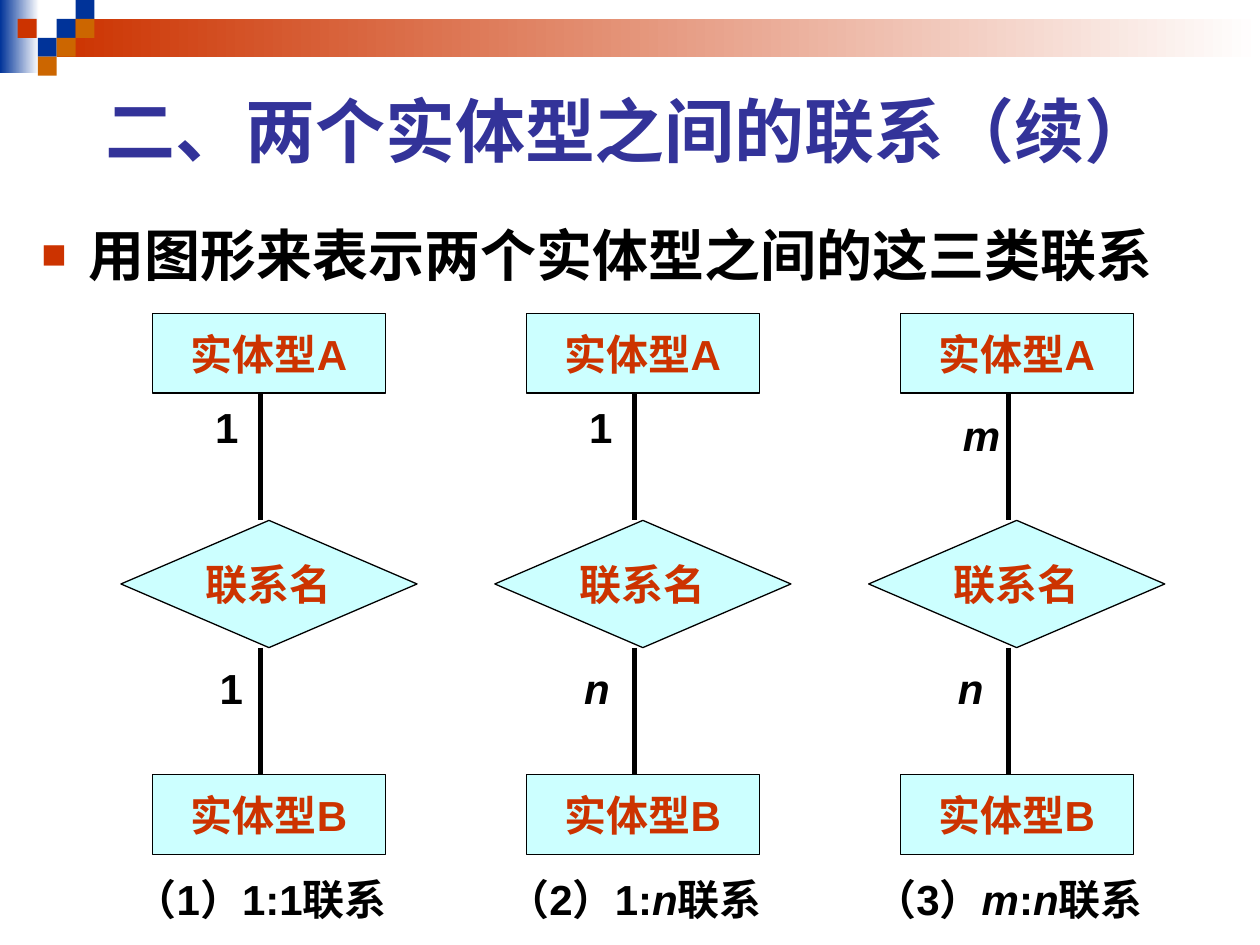
from lxml import etree
from pptx import Presentation
from pptx import util as u
from pptx.dml.color import RGBColor
from pptx.enum import shapes, text
from pptx.oxml.ns import qn

COLORS = {
    "navy": "003399", "red": "CC3300", "orange": "CC6600", "white": "FFFFFF",
    "title": "333399", "ink": "000000", "cyan": "CCFFFF",
}
COLUMNS, ROWS = 100, 75
PITCH = 29.67


def rgb(name):
    return RGBColor.from_string(COLORS[name])


class SlideBuilder:
    font = "Arial"

    def __init__(self, deck):
        self.deck = deck
        self.page = deck.slides.add_slide(deck.slide_layouts[5])

    def x(self, columns):
        return u.Emu(round(self.deck.slide_width * columns / COLUMNS))

    def y(self, rows):
        return u.Emu(round(self.deck.slide_height * rows / ROWS))

    def area(self, left, top, width, height):
        return self.x(left), self.y(top), self.x(width), self.y(height)

    def add_text(self, frame, runs, size, color, align=text.PP_ALIGN.CENTER, wrap=True):
        frame.word_wrap = wrap
        para = frame.paragraphs[0]
        para.alignment = align
        for words, italic in runs:
            span = para.add_run()
            span.text = words
            span.font.name = self.font
            span.font.size = u.Pt(size)
            span.font.bold = True
            span.font.italic = italic
            span.font.color.rgb = rgb(color)
        return para

    def title(self, words, *area):
        box = self.page.shapes.title
        box.left, box.top, box.width, box.height = self.area(*area)
        box.text_frame.vertical_anchor = text.MSO_ANCHOR.MIDDLE
        self.add_text(box.text_frame, [(words, False)], 40, "title")

    def bullet(self, words, *area):
        box = self.page.shapes.add_textbox(*self.area(*area))
        para = self.add_text(box.text_frame, [(words, False)], 32, "ink", text.PP_ALIGN.LEFT)
        props = para._p.get_or_add_pPr()
        indent = self.x(3.75)
        props.set("marL", str(indent))
        props.set("indent", str(-indent))
        tint = etree.SubElement(props, qn("a:buClr"))
        etree.SubElement(tint, qn("a:srgbClr"), val=COLORS["red"])
        etree.SubElement(props, qn("a:buSzPct"), val="75000")
        etree.SubElement(props, qn("a:buFont"), typeface=self.font)
        etree.SubElement(props, qn("a:buChar"), char="■")

    def shape(self, kind, area, fill):
        box = self.page.shapes.add_shape(kind, *self.area(*area))
        box.shadow.inherit = False
        box.fill.solid()
        box.fill.fore_color.rgb = rgb(fill)
        box.line.fill.background()
        return box

    def band(self, color, *area):
        box = self.shape(shapes.MSO_SHAPE.RECTANGLE, area, color)
        box.fill.gradient()
        box.fill.gradient_angle = 0
        for stop, position, name in zip(box.fill.gradient_stops, (0, 1), (color, "white")):
            stop.position = position
            stop.color.rgb = rgb(name)

    def square(self, color, left, top):
        self.shape(shapes.MSO_SHAPE.RECTANGLE, (left, top, 1.5, 1.5), color)

    def node(self, kind, words, *area):
        box = self.shape(kind, area, "cyan")
        box.line.color.rgb = rgb("ink")
        box.line.width = u.Pt(0.75)
        box.text_frame.vertical_anchor = text.MSO_ANCHOR.MIDDLE
        self.add_text(box.text_frame, [(words, False)], 24, "red", wrap=False)

    def link(self, column, top, bottom):
        line = self.page.shapes.add_connector(
            shapes.MSO_CONNECTOR.STRAIGHT,
            self.x(column), self.y(top), self.x(column), self.y(bottom))
        line.line.color.rgb = rgb("ink")
        line.line.width = u.Pt(3)
        etree.SubElement(line._element.spPr, qn("a:effectLst"))

    def label(self, runs, *area, wrap=False):
        box = self.page.shapes.add_textbox(*self.area(*area))
        self.add_text(box.text_frame, runs, 24, "ink", wrap=wrap)

    def relation(self, left, upper, lower, caption):
        for name, top in (("A", 24.9), ("B", 61.5)):
            self.node(shapes.MSO_SHAPE.RECTANGLE, "实体型" + name, left + 2.5, top, 18.5, 6.3)
        self.node(shapes.MSO_SHAPE.FLOWCHART_DECISION, "联系名", left, 41.3, 23.5, 10.1)
        for top, bottom in ((31.2, 41.3), (51.4, 61.5)):
            self.link(left + 11.1, top, bottom)
        for words, italic, offset, top, width in (upper, lower):
            self.label([(words, italic)], left + offset, top, width, 5)
        self.label(caption, left - 3.7, 68.8, 29.6, 5, wrap=True)


def main():
    deck = Presentation()
    deck.slide_width, deck.slide_height = u.Inches(10), u.Inches(7.5)
    slide = SlideBuilder(deck)

    slide.band("navy", 0, 0, 3.1, 5.8)
    slide.band("red", 4.5, 1.5, 95.5, 3)
    for color, left, top in (
        ("navy", 4.5, 1.5), ("navy", 6, 0), ("orange", 6, 1.5), ("navy", 3, 3),
        ("red", 1.4, 1.5), ("orange", 4.5, 3), ("orange", 3, 4.5),
    ):
        slide.square(color, left, top)

    slide.title("二、两个实体型之间的联系（续）", 5, 5, 90, 10.5)
    slide.bullet("用图形来表示两个实体型之间的这三类联系", 2.3, 17, 95, 42.5)

    one_above = ("1", False, 6.5, 31.4, 3.8)
    one_below = ("1", False, 5.8, 52.1, 5.9)
    m_above = ("m", True, 6.5, 32, 4.9)
    n_below = ("n", True, 6.1, 52.1, 4)
    relations = (
        (one_above, one_below, [("（1）1:1联系", False)]),
        (one_above, n_below, [("（2）1:", False), ("n", True), ("联系", False)]),
        (m_above, n_below, [("（3）", False), ("m", True), (":", False),
                            ("n", True), ("联系", False)]),
    )
    for index, (upper, lower, caption) in enumerate(relations):
        slide.relation(9.6 + index * PITCH, upper, lower, caption)

    deck.save("out.pptx")


if __name__ == "__main__":
    main()
